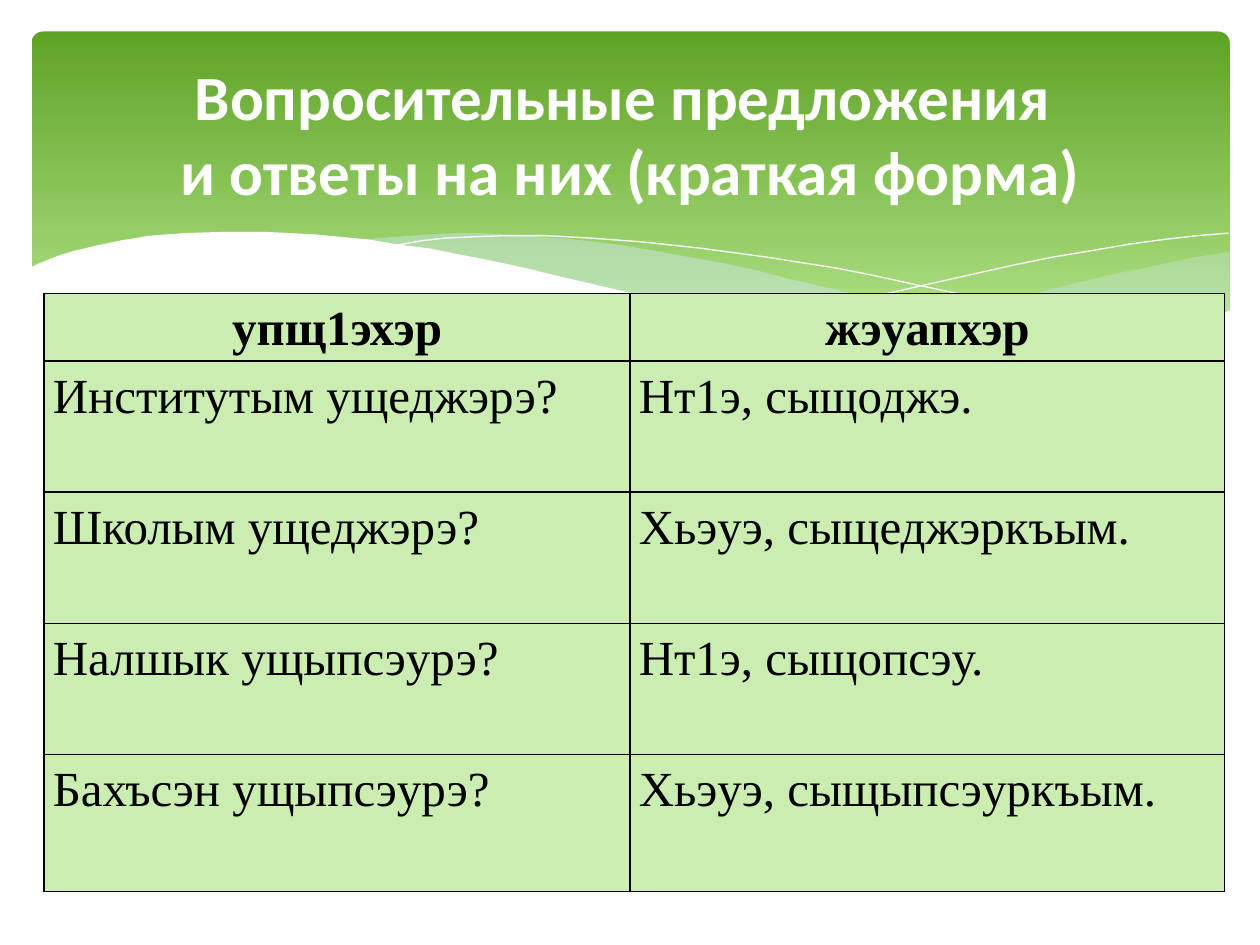
from dataclasses import dataclass

from lxml.etree import SubElement
from pptx import Presentation
from pptx.dml.color import RGBColor
from pptx.enum.shapes import MSO_SHAPE
from pptx.enum.text import MSO_ANCHOR, PP_ALIGN
from pptx.oxml.ns import qn
from pptx.util import Inches, Pt


@dataclass(frozen=True)
class Theme:
    """Colours, fonts and type sizes of the slide."""
    banner_top: str = "5FA326"
    banner_bottom: str = "B2E389"
    mist: str = "D6ECFF"
    white: str = "FFFFFF"
    ink: str = "000000"
    cell: str = "CCEDB1"
    title_font: str = "Calibri"
    table_font: str = "Times New Roman"
    title_size: int = 36
    table_size: int = 28


THEME = Theme()

RIGHT_MIST = [
    (9.76, 2), (9.48, 2.04), (9.21, 2.1), (8.91, 2.16), (8.61, 2.23), (8.05, 2.37),
    (7.53, 2.48), (7.06, 2.57), (6.61, 2.65), (6.91, 2.69), (7.19, 2.72), (7.45, 2.75),
    (7.69, 2.77), (8.03, 2.78), (8.35, 2.77), (8.63, 2.75), (8.89, 2.72), (9.13, 2.67),
    (9.35, 2.62), (9.49, 2.57), (9.63, 2.52), (9.76, 2.47)]
CENTRE_MIST = [
    (8.93, 2.73), (8.66, 2.69), (8.37, 2.65), (8.07, 2.6), (7.75, 2.54), (7.41, 2.47),
    (7.06, 2.4), (6.68, 2.31), (6.29, 2.22), (5.98, 2.14), (5.69, 2.08), (5.41, 2.03),
    (5.14, 1.98), (4.89, 1.94), (4.65, 1.91), (4.42, 1.89), (4.2, 1.87), (3.99, 1.86),
    (3.8, 1.85), (3.61, 1.85), (3.28, 1.87), (2.99, 1.89), (2.86, 1.91), (3.23, 1.96),
    (3.62, 2.03), (4.04, 2.11), (4.49, 2.22), (4.91, 2.32), (5.3, 2.4), (5.66, 2.48),
    (6.01, 2.55), (6.34, 2.61), (6.65, 2.66), (6.95, 2.7), (7.22, 2.74), (7.48, 2.76),
    (7.85, 2.78), (8.28, 2.78), (8.57, 2.77)]
FALLING_CURVE = [
    (3.09, 1.95), (3.18, 1.94), (3.35, 1.91), (3.53, 1.89), (3.74, 1.88), (4.01, 1.87),
    (4.33, 1.87), (4.69, 1.89), (5.1, 1.92), (5.56, 1.97), (6.08, 2.04), (6.65, 2.13),
    (6.95, 2.19), (7.27, 2.26), (7.6, 2.33), (7.95, 2.41), (8.31, 2.51), (8.69, 2.61),
    (9.07, 2.72)]
RISING_CURVE = [
    (6.13, 2.57), (6.53, 2.46), (6.95, 2.35), (7.48, 2.23), (8.06, 2.1), (8.36, 2.04),
    (8.66, 1.99), (8.95, 1.94), (9.24, 1.9), (9.51, 1.87), (9.75, 1.85)]
WHITE_WAVE = [
    (9.77, 2.46), (9.59, 2.53), (9.4, 2.59), (9.2, 2.65), (8.99, 2.69), (8.75, 2.73),
    (8.5, 2.75), (8.23, 2.77), (7.93, 2.76), (7.61, 2.75), (7.26, 2.72), (6.88, 2.68),
    (6.48, 2.62), (6.03, 2.54), (5.55, 2.45), (5.03, 2.33), (4.47, 2.2), (4.18, 2.13),
    (3.91, 2.07), (3.65, 2.02), (3.4, 1.97), (3.16, 1.94), (2.92, 1.9), (2.71, 1.88),
    (2.5, 1.86), (2.3, 1.85), (2.11, 1.84), (1.77, 1.84), (1.46, 1.85), (1.19, 1.87),
    (0.95, 1.91), (0.76, 1.95), (0.59, 1.99), (0.46, 2.03), (0.36, 2.07), (0.29, 2.1),
    (0.23, 2.13), (0.23, 3.29), (9.77, 3.29)]

DIALOGUE = [
    ("упщ1эхэр", "жэуапхэр"),
    ("Институтым ущеджэрэ?", "Нт1э, сыщоджэ."),
    ("Школым ущеджэрэ?", "Хьэуэ, сыщеджэркъым."),
    ("Налшык ущыпсэурэ?", "Нт1э, сыщопсэу."),
    ("Бахъсэн ущыпсэурэ?", "Хьэуэ, сыщыпсэуркъым."),
]
COLUMN_WIDTHS = (4.65, 4.72)
ROW_HEIGHTS = (0.52, 1.04, 1.04, 1.04, 1.09)


def rgb(value):
    """Turn a hex string into a colour."""
    return RGBColor.from_string(value)


def style_font(font, name, size, color, bold):
    """Set the typeface, size, colour and weight of a font."""
    font.name, font.size, font.bold = name, Pt(size), bold
    font.color.rgb = rgb(color)


def add_banner(slide):
    """Add the rounded banner with its vertical gradient."""
    banner = slide.shapes.add_shape(
        MSO_SHAPE.ROUNDED_RECTANGLE, Inches(0.25), Inches(0.25), Inches(9.51), Inches(2.7))
    banner.adjustments[0] = 0.034
    banner.shadow.inherit = False
    banner.line.fill.background()
    banner.fill.gradient()
    banner.fill.gradient_angle = 270
    start, end = banner.fill.gradient_stops
    start.color.rgb, start.position = rgb(THEME.banner_top), 0
    end.color.rgb, end.position = rgb(THEME.banner_bottom), 0.9


def draw_outline(slide, points, close):
    """Build a freeform through points given in inches."""
    start, *rest = [(Inches(x), Inches(y)) for x, y in points]
    builder = slide.shapes.build_freeform(*start)
    builder.add_line_segments(rest, close=close)
    outline = builder.convert_to_shape()
    outline.shadow.inherit = False
    return outline


def add_wave(slide, points, color, opacity=100):
    """Add a filled wave, see-through when opacity is below 100."""
    wave = draw_outline(slide, points, True)
    wave.line.fill.background()
    wave.fill.solid()
    wave.fill.fore_color.rgb = rgb(color)
    if opacity < 100:
        tint = wave.fill._xPr.find(".//" + qn("a:srgbClr"))
        SubElement(tint, qn("a:alpha"), val=str(opacity * 1000))


def add_curve(slide, points):
    """Add an open white hairline."""
    curve = draw_outline(slide, points, False)
    curve.fill.background()
    curve.line.color.rgb = rgb(THEME.white)
    curve.line.width = Pt(0)


def add_title(slide, text):
    """Add the centred heading on the banner."""
    frame = slide.shapes.add_textbox(
        Inches(0.5), Inches(0.37), Inches(9), Inches(1.37)).text_frame
    frame.word_wrap = True
    frame.vertical_anchor = MSO_ANCHOR.MIDDLE
    heading = frame.paragraphs[0]
    heading.text = text
    heading.alignment = PP_ALIGN.CENTER
    style_font(heading.font, THEME.title_font, THEME.title_size, THEME.white, True)


def add_borders(cell):
    """Draw a one-point border on every side of a cell."""
    properties = cell._tc.get_or_add_tcPr()
    for side in ("lnL", "lnR", "lnT", "lnB"):
        border = SubElement(properties, qn(f"a:{side}"), w=str(Pt(1)))
        SubElement(SubElement(border, qn("a:solidFill")), qn("a:srgbClr"), val=THEME.ink)


def fill_cell(cell, text, is_header):
    """Write and style one cell of the dialogue table."""
    add_borders(cell)
    cell.fill.solid()
    cell.fill.fore_color.rgb = rgb(THEME.cell)
    cell.margin_left = cell.margin_right = Inches(0.07)
    cell.margin_top = cell.margin_bottom = 0
    phrase = cell.text_frame.paragraphs[0]
    phrase.text = text
    phrase.alignment = PP_ALIGN.CENTER if is_header else PP_ALIGN.JUSTIFY
    phrase.line_spacing = 1.15
    style_font(phrase.font, THEME.table_font, THEME.table_size, THEME.ink, is_header)


def add_dialogue(slide):
    """Add the table of questions and answers."""
    table = slide.shapes.add_table(
        len(DIALOGUE), len(COLUMN_WIDTHS), Inches(0.35), Inches(2.33),
        Inches(sum(COLUMN_WIDTHS)), Inches(sum(ROW_HEIGHTS))).table
    table.first_row = table.horz_banding = False
    for column, width in zip(table.columns, COLUMN_WIDTHS):
        column.width = Inches(width)
    for index, (row, height) in enumerate(zip(table.rows, ROW_HEIGHTS)):
        row.height = Inches(height)
        for cell, text in zip(row.cells, DIALOGUE[index]):
            fill_cell(cell, text, index == 0)


def main():
    """Build and save the slide."""
    deck = Presentation()
    deck.slide_width, deck.slide_height = Inches(10), Inches(7.5)
    slide = deck.slides.add_slide(deck.slide_layouts[6])
    add_banner(slide)
    add_wave(slide, RIGHT_MIST, THEME.mist, 29)
    add_wave(slide, CENTRE_MIST, THEME.mist, 40)
    add_curve(slide, FALLING_CURVE)
    add_curve(slide, RISING_CURVE)
    add_wave(slide, WHITE_WAVE, THEME.white)
    add_title(slide, "Вопросительные предложения \vи ответы на них (краткая форма)")
    add_dialogue(slide)
    deck.save("out.pptx")


if __name__ == "__main__":
    main()
